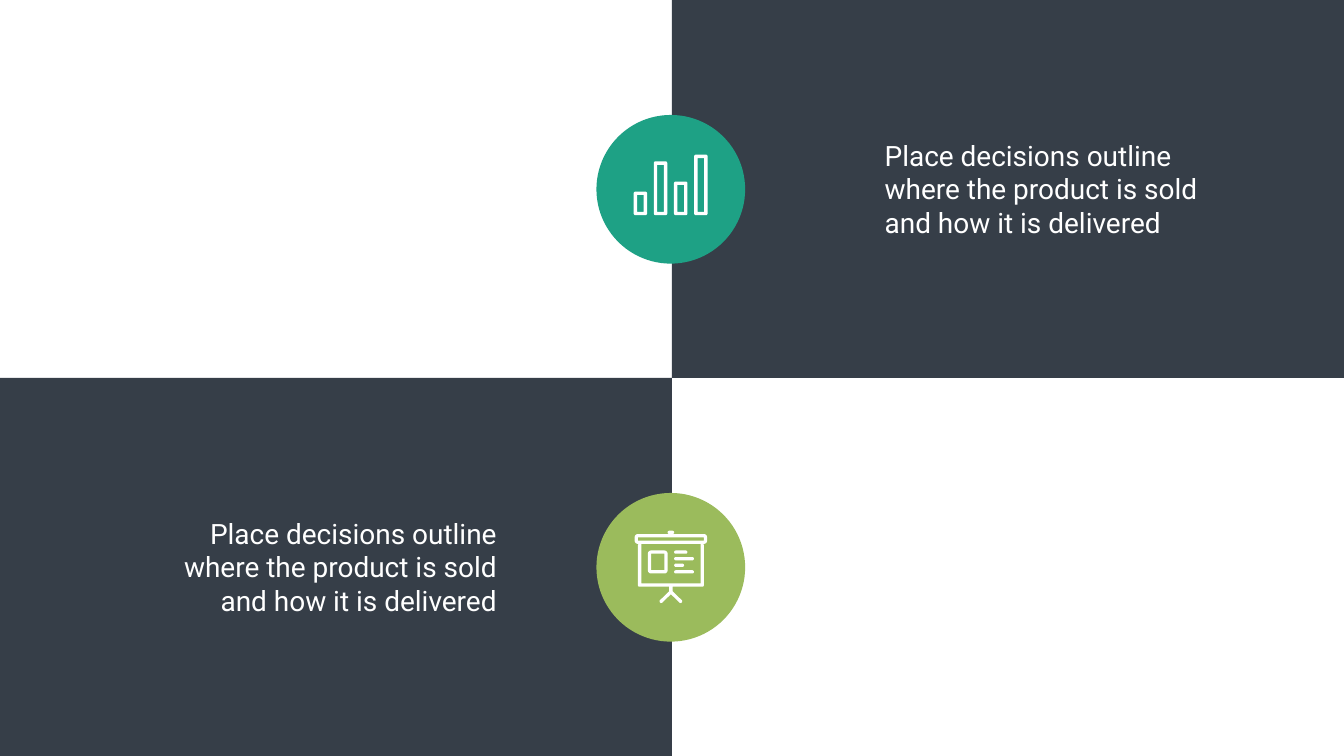
from math import cos, pi, sin

from pptx import Presentation
from pptx.dml.color import RGBColor
from pptx.enum.shapes import MSO_SHAPE as SHAPE
from pptx.enum.text import MSO_AUTO_SIZE as AUTO, PP_ALIGN as ALIGN
from pptx.util import Pt

COLORS = {"panel": "363E48", "teal": "1EA185", "green": "9BBB5C", "white": "FFFFFF"}
TEXT = "Place decisions outline where the product is sold and how it is delivered"
WIDTH, HEIGHT = 1919.52, 1080
HALF_W, HALF_H = WIDTH / 2, HEIGHT / 2
CIRCLE = 212.4
GRID = 100  # freeform steps per icon unit


def rounded(x0, y0, x1, y1, r=0):
    """Corner points of a box, with each corner rounded by radius r."""
    if not r:
        return [(x0, y0), (x1, y0), (x1, y1), (x0, y1)]
    centers = [(x1 - r, y1 - r), (x0 + r, y1 - r), (x0 + r, y0 + r), (x1 - r, y0 + r)]
    return [(cx + r * cos((q + i / 6) * pi / 2), cy + r * sin((q + i / 6) * pi / 2))
            for q, (cx, cy) in enumerate(centers) for i in range(7)]


def paint(sp, color):
    sp.shadow.inherit = False
    sp.fill.solid()
    sp.fill.fore_color.rgb = RGBColor.from_string(COLORS[color])
    sp.line.fill.background()


# Icons are contours on a grid 22 units wide; inner contours cut holes
bars = []
for i, height in enumerate((7, 16, 10, 18)):
    x, y = 6 * i, 18 - height
    bars += [rounded(x, y, x + 4, 18, 0.5), rounded(x + 1, y + 1, x + 3, 17)]

board = [
    rounded(10, 0, 12, 1, 0.5),                                # knob
    rounded(0, 1, 22, 4, 1), rounded(1, 2, 21, 3),             # roller
    rounded(1, 4, 21, 17, 0.4), rounded(2, 4, 20, 16),         # sheet
    rounded(4, 6, 10, 13, 1), rounded(5, 7, 9, 12),            # frame
    [(10.5, 17), (10.5, 18.4), (7.6, 21.2), (7.6, 21.7), (7.9, 22), (8.3, 21.9),
     (11, 19.3), (13.7, 21.9), (14.1, 22), (14.4, 21.7), (14.4, 21.2),
     (11.5, 18.4), (11.5, 17)],                                # legs
]
for i, length in enumerate((4, 6, 3, 6)):
    board.append(rounded(12, 6 + 2 * i, 12 + length, 7 + 2 * i, 0.5))

prs = Presentation()
prs.slide_width, prs.slide_height = Pt(WIDTH), Pt(HEIGHT)
slide = prs.slides.add_slide(prs.slide_layouts[6])
shapes = slide.shapes

# Panel left, text left, alignment, circle colour, icon contours, left, top, unit
rows = [
    (HALF_W, 1256.4, ALIGN.LEFT, "teal", bars, 905, 221, 4.8),
    (0, 244.1, ALIGN.RIGHT, "green", board, 906.5, 758.2, 4.7),
]
for row, (panel_x, text_x, align, color, icon, icon_x, icon_y, unit) in enumerate(rows):
    top = row * HALF_H
    panel = shapes.add_shape(SHAPE.RECTANGLE, Pt(panel_x), Pt(top), Pt(HALF_W), Pt(HALF_H))
    paint(panel, "panel")

    box = shapes.add_textbox(Pt(text_x), Pt(top + 193.7), Pt(472.3), Pt(152.6))
    tf = box.text_frame
    tf.word_wrap = True
    tf.auto_size = AUTO.SHAPE_TO_FIT_TEXT
    p = tf.paragraphs[0]
    p.text = TEXT
    p.alignment = align
    p.font.name = "Roboto"
    p.font.size = Pt(40)
    p.font.color.rgb = RGBColor.from_string(COLORS["white"])

    circle = shapes.add_shape(SHAPE.OVAL, Pt(851.8), Pt(top + 164.2), Pt(CIRCLE), Pt(CIRCLE))
    paint(circle, color)

    scaled = [[(x * GRID, y * GRID) for x, y in contour] for contour in icon]
    builder = shapes.build_freeform(*scaled[0][0], scale=Pt(unit) / GRID)
    for contour in scaled:
        builder.move_to(*contour[0])
        builder.add_line_segments(contour[1:], close=True)
    paint(builder.convert_to_shape(Pt(icon_x), Pt(icon_y)), "white")

prs.save("out.pptx")
